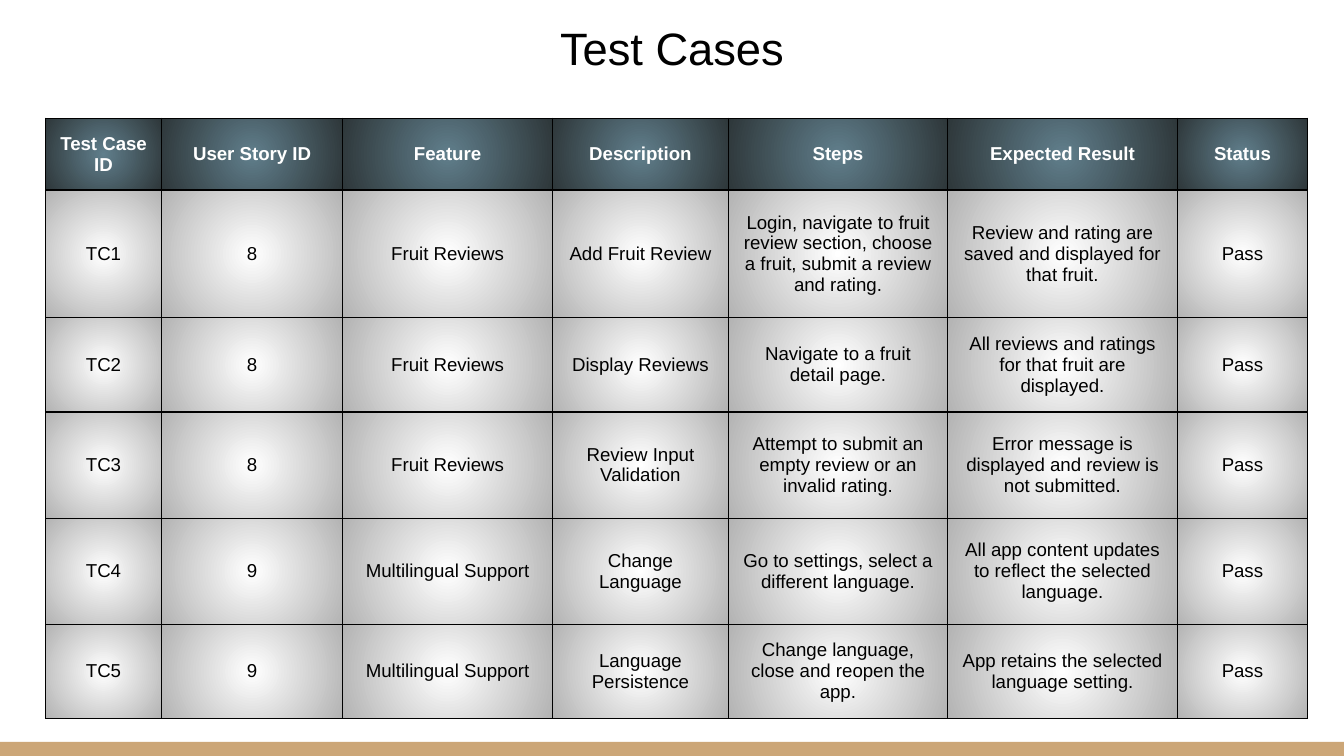
from dataclasses import dataclass

from pptx import Presentation
from pptx.dml.color import RGBColor
from pptx.enum.shapes import MSO_SHAPE
from pptx.enum.text import MSO_ANCHOR, PP_ALIGN
from pptx.oxml import parse_xml
from pptx.oxml.ns import nsdecls
from pptx.slide import Slide
from pptx.table import _Cell
from pptx.text.text import TextFrame
from pptx.util import Inches, Pt

RECTANGLE = MSO_SHAPE.RECTANGLE
MIDDLE = MSO_ANCHOR.MIDDLE
CENTER = PP_ALIGN.CENTER

SLIDE_WIDTH = Inches(10)
SLIDE_HEIGHT = SLIDE_WIDTH * 9 // 16
GRID_UNIT = SLIDE_WIDTH // 1000
PADDING = Inches(0.1)
BORDER_WIDTH = Pt(0.75)
BLANK_LAYOUT = 6
COLUMN_UNITS = (86, 135, 156, 131, 163, 171, 97)
ROW_UNITS = (34, 95, 64, 79, 79, 64)
BLACK = "000000"


@dataclass(frozen=True)
class Area:
    """A rectangle in grid units, a thousandth of the slide's width each."""

    left: float
    top: float
    width: float
    height: float

    def place(self) -> tuple[int, int, int, int]:
        """Return left, top, width and height as lengths."""
        return (
            int(self.left * GRID_UNIT),
            int(self.top * GRID_UNIT),
            int(self.width * GRID_UNIT),
            int(self.height * GRID_UNIT),
        )


@dataclass(frozen=True)
class TextStyle:
    """The look of a text."""

    size: float
    color: str
    bold: bool = False


@dataclass(frozen=True)
class CellStyle:
    """The text and radial gradient of a table cell."""

    text: TextStyle
    inner: str
    outer: str


TITLE_AREA = Area(34, 10, 932, 50)
TABLE_AREA = Area(34, 88, 328, 328)
FOOTER_AREA = Area(0, 552, 1000, 10.5)

TITLE_STYLE = TextStyle(24.3, BLACK)
HEADER_STYLE = CellStyle(TextStyle(10, "FFFFFF", True), "607E8B", "2E373A")
BODY_STYLE = CellStyle(TextStyle(10, BLACK), "FFFFFF", "B3B3B3")

HEADERS = ("Test Case ID", "User Story ID", "Feature", "Description",
           "Steps", "Expected Result", "Status")
TEST_CASES = (
    ("TC1", "8", "Fruit Reviews", "Add Fruit Review",
     "Login, navigate to fruit review section, choose a fruit, submit a review and rating.",
     "Review and rating are saved and displayed for that fruit.", "Pass"),
    ("TC2", "8", "Fruit Reviews", "Display Reviews",
     "Navigate to a fruit detail page.",
     "All reviews and ratings for that fruit are displayed.", "Pass"),
    ("TC3", "8", "Fruit Reviews", "Review Input Validation",
     "Attempt to submit an empty review or an invalid rating.",
     "Error message is displayed and review is not submitted.", "Pass"),
    ("TC4", "9", "Multilingual Support", "Change Language",
     "Go to settings, select a different language.",
     "All app content updates to reflect the selected language.", "Pass"),
    ("TC5", "9", "Multilingual Support", "Language Persistence",
     "Change language, close and reopen the app.",
     "App retains the selected language setting.", "Pass"),
)


def rgb(color: str) -> RGBColor:
    """Turn a hex string into a colour."""
    return RGBColor.from_string(color)


def write_text(frame: TextFrame, text: str, style: TextStyle) -> None:
    """Write one centred paragraph."""
    frame.word_wrap = True
    para = frame.paragraphs[0]
    para.text = text
    para.alignment = CENTER
    para.font.name = "Arial"
    para.font.size = Pt(style.size)
    para.font.bold = style.bold
    para.font.color.rgb = rgb(style.color)


def set_padding(holder: TextFrame | _Cell) -> None:
    """Give a text frame or cell equal margins and middle anchoring."""
    holder.margin_left = holder.margin_right = PADDING
    holder.margin_top = holder.margin_bottom = PADDING
    holder.vertical_anchor = MIDDLE


def add_title(page: Slide, text: str) -> None:
    """Add the slide title."""
    box = page.shapes.add_textbox(*TITLE_AREA.place())
    set_padding(box.text_frame)
    write_text(box.text_frame, text, TITLE_STYLE)


def add_footer_bar(page: Slide) -> None:
    """Add the coloured bar along the bottom edge."""
    bar = page.shapes.add_shape(RECTANGLE, *FOOTER_AREA.place())
    bar.shadow.inherit = False
    bar.fill.solid()
    bar.fill.fore_color.rgb = rgb("CCA677")
    bar.line.fill.background()


def paint_cell(cell: _Cell, style: CellStyle) -> None:
    """Give a cell black borders and a radial gradient."""
    properties = cell._tc.get_or_add_tcPr()
    for side in "LRTB":
        properties.append(parse_xml(
            f'<a:ln{side} {nsdecls("a")} w="{BORDER_WIDTH}"><a:solidFill>'
            f'<a:srgbClr val="{BLACK}"/></a:solidFill></a:ln{side}>'))
    properties.append(parse_xml(
        f'<a:gradFill {nsdecls("a")} rotWithShape="1"><a:gsLst>'
        f'<a:gs pos="0"><a:srgbClr val="{style.inner}"/></a:gs>'
        f'<a:gs pos="100000"><a:srgbClr val="{style.outer}"/></a:gs></a:gsLst>'
        '<a:path path="circle"><a:fillToRect l="50000" t="50000" r="50000" b="50000"/>'
        '</a:path></a:gradFill>'))


def add_test_table(page: Slide, rows: tuple[tuple[str, ...], ...]) -> None:
    """Add the table of test cases, its first row as header."""
    left, top, width, height = TABLE_AREA.place()
    holder = page.shapes.add_table(len(rows), len(HEADERS), left, top, width, height)
    table = holder.table
    table.first_row = table.horz_banding = False
    for column, units in zip(table.columns, COLUMN_UNITS):
        column.width = GRID_UNIT * units
    for row, units in zip(table.rows, ROW_UNITS):
        row.height = GRID_UNIT * units
    holder.width, holder.height = width, height
    for row_index, texts in enumerate(rows):
        style = BODY_STYLE if row_index else HEADER_STYLE
        for column_index, text in enumerate(texts):
            cell = table.cell(row_index, column_index)
            set_padding(cell)
            write_text(cell.text_frame, text, style.text)
            paint_cell(cell, style)


def main() -> None:
    """Build and save the deck."""
    deck = Presentation()
    deck.slide_width, deck.slide_height = SLIDE_WIDTH, SLIDE_HEIGHT
    page = deck.slides.add_slide(deck.slide_layouts[BLANK_LAYOUT])
    add_footer_bar(page)
    add_title(page, "Test Cases")
    add_test_table(page, (HEADERS, *TEST_CASES))
    deck.save("out.pptx")


if __name__ == "__main__":
    main()
